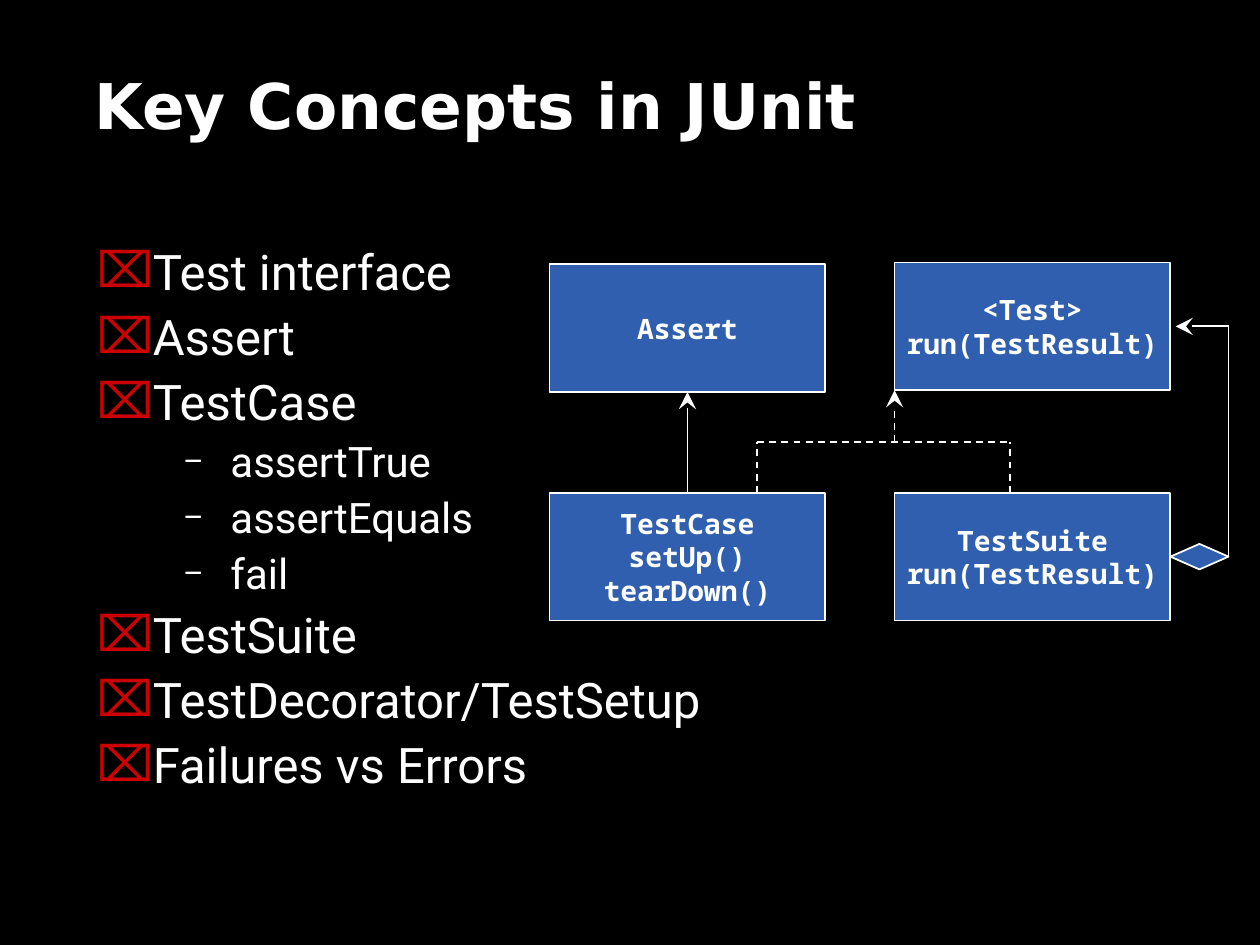
from typing import NamedTuple, Optional

from lxml import etree
from pptx import Presentation
from pptx.dml.color import RGBColor
from pptx.enum.dml import MSO_LINE
from pptx.enum.shapes import MSO_CONNECTOR, MSO_SHAPE
from pptx.enum.text import MSO_ANCHOR, MSO_AUTO_SIZE, PP_ALIGN
from pptx.oxml.ns import qn
from pptx.util import Pt

BLACK = RGBColor(0x00, 0x00, 0x00)
WHITE = RGBColor(0xFF, 0xFF, 0xFF)
RED = RGBColor(0xCC, 0x00, 0x00)
BLUE = RGBColor(0x31, 0x5F, 0xAF)

RECT = MSO_SHAPE.RECTANGLE
DIAMOND = MSO_SHAPE.FLOWCHART_DECISION
STRAIGHT = MSO_CONNECTOR.STRAIGHT
DASH = MSO_LINE.DASH
LEFT, CENTER = PP_ALIGN.LEFT, PP_ALIGN.CENTER
TOP, MIDDLE = MSO_ANCHOR.TOP, MSO_ANCHOR.MIDDLE
NO_FIT = MSO_AUTO_SIZE.NONE

TITLE_FONT = {"name": "DejaVu Sans", "size": Pt(36), "bold": True}
BOX_FONT = {"name": "Noto Sans Mono", "size": Pt(16), "bold": True}
INSETS = {"margin_left": Pt(7.2), "margin_right": Pt(7.2),
          "margin_top": Pt(3.6), "margin_bottom": Pt(3.6)}
NO_INSETS = dict.fromkeys(INSETS, 0)

BOX_W, BOX_H = 157.6, 73
COL_1, COL_2 = 314, 511.2
ROW_1, ROW_2 = 150, 281.6
JOIN_Y = 252.6


class Level(NamedTuple):
    size: float
    before: float
    indent: float
    bullet: str
    color: RGBColor
    percent: int


class Item(NamedTuple):
    text: str
    level: int = 0


class Box(NamedTuple):
    name: str
    x: float
    y: float
    text: str


class Link(NamedTuple):
    x1: float
    y1: float
    x2: float
    y2: float
    dashed: bool = False
    arrow: bool = False
    start: Optional[tuple[str, int]] = None
    end: Optional[tuple[str, int]] = None


LEVELS = [Level(28, 7, 27, "⌧", RED, 100),
          Level(24, 6, 76.5, "–", WHITE, 75)]
HANGING = 27

ITEMS = [Item("Test interface"), Item("Assert"), Item("TestCase"),
         Item("assertTrue", 1), Item("assertEquals", 1), Item("fail", 1),
         Item("TestSuite"), Item("TestDecorator/TestSetup"),
         Item("Failures vs Errors")]

BOXES = [Box("test", COL_2, ROW_1, "<Test>\nrun(TestResult)"),
         Box("case", COL_1, ROW_2, "TestCase\nsetUp()\ntearDown()"),
         Box("suite", COL_2, ROW_2, "TestSuite\nrun(TestResult)"),
         Box("assert", COL_1, ROW_1 + 1, "Assert")]

ASSERT_X = COL_1 + BOX_W / 2
CASE_X, SUITE_X = 432.6, 577.2
LOOP_X = 702
TEST_Y = ROW_1 + BOX_H / 2
SUITE_Y = ROW_2 + BOX_H / 2
DIAMOND_H = 14.6

LINKS = [Link(ASSERT_X, ROW_2, ASSERT_X, ROW_1 + 1 + BOX_H, arrow=True,
              start=("case", 0), end=("assert", 2)),
         Link(COL_2, JOIN_Y, COL_2, ROW_1 + BOX_H, dashed=True, arrow=True),
         Link(CASE_X, ROW_2, CASE_X, JOIN_Y, dashed=True),
         Link(SUITE_X, ROW_2, SUITE_X, JOIN_Y, dashed=True),
         Link(CASE_X, JOIN_Y, SUITE_X, JOIN_Y, dashed=True),
         Link(LOOP_X, SUITE_Y, LOOP_X, TEST_Y, start=("diamond", 3)),
         Link(LOOP_X, TEST_Y, 671.8, TEST_Y, arrow=True)]


def apply(obj, values: dict) -> None:
    for key, value in values.items():
        setattr(obj, key, value)


def place(sp, x: float, y: float, w: float, h: float) -> None:
    apply(sp, {"left": Pt(x), "top": Pt(y), "width": Pt(w), "height": Pt(h)})


def add_run(p, text: str, font: dict) -> None:
    r = p.add_run()
    r.text = text
    apply(r.font, font)
    r.font.color.rgb = WHITE


def add_bullet(p, level: Level) -> None:
    pPr = p._p.get_or_add_pPr()
    pPr.set("marL", str(Pt(level.indent)))
    pPr.set("indent", str(-Pt(HANGING)))
    clr = etree.SubElement(pPr, qn("a:buClr"))
    etree.SubElement(clr, qn("a:srgbClr"), val=str(level.color))
    etree.SubElement(pPr, qn("a:buSzPct"), val=str(level.percent * 1000))
    etree.SubElement(pPr, qn("a:buFont"), typeface="Roboto")
    etree.SubElement(pPr, qn("a:buChar"), char=level.bullet)


def fill_title(sp) -> None:
    place(sp, 54, 42, 588, 42)
    tf = sp.text_frame
    apply(tf, {"auto_size": NO_FIT, "vertical_anchor": MIDDLE,
               "word_wrap": True, **NO_INSETS})
    p = tf.paragraphs[0]
    apply(p, {"alignment": LEFT, "line_spacing": 0.85})
    add_run(p, "Key Concepts in JUnit", TITLE_FONT)


def fill_list(sp, items: list[Item]) -> None:
    place(sp, 48, 138, 618, 321)
    tf = sp.text_frame
    apply(tf, {"auto_size": NO_FIT, "vertical_anchor": TOP,
               "word_wrap": True, **INSETS})
    for i, item in enumerate(items):
        p = tf.add_paragraph() if i else tf.paragraphs[0]
        level = LEVELS[item.level]
        add_bullet(p, level)
        apply(p, {"level": item.level, "alignment": LEFT, "line_spacing": 0.9,
                  "space_before": Pt(level.before if i else 0)})
        add_run(p, item.text, {"name": "Roboto", "size": Pt(level.size)})


def add_shape(slide, kind, x: float, y: float, w: float, h: float):
    sp = slide.shapes.add_shape(kind, Pt(x), Pt(y), Pt(w), Pt(h))
    sp.shadow.inherit = False
    sp.fill.solid()
    sp.fill.fore_color.rgb = BLUE
    sp.line.color.rgb = WHITE
    sp.line.width = Pt(1)
    return sp


def add_box(slide, box: Box):
    sp = add_shape(slide, RECT, box.x, box.y, BOX_W, BOX_H)
    tf = sp.text_frame
    apply(tf, {"word_wrap": False, "vertical_anchor": MIDDLE, **INSETS})
    for i, text in enumerate(box.text.split("\n")):
        p = tf.add_paragraph() if i else tf.paragraphs[0]
        p.alignment = CENTER
        add_run(p, text, BOX_FONT)
    return sp


def add_link(slide, link: Link, shapes: dict) -> None:
    cxn = slide.shapes.add_connector(
        STRAIGHT, Pt(link.x1), Pt(link.y1), Pt(link.x2), Pt(link.y2))
    if link.start:
        cxn.begin_connect(shapes[link.start[0]], link.start[1])
    if link.end:
        cxn.end_connect(shapes[link.end[0]], link.end[1])
    cxn.line.color.rgb = WHITE
    cxn.line.width = Pt(1)
    if link.dashed:
        cxn.line.dash_style = DASH
    if link.arrow:
        etree.SubElement(cxn.line._get_or_add_ln(), qn("a:tailEnd"),
                         type="stealth", w="lg", len="lg")
    etree.SubElement(cxn._element.spPr, qn("a:effectLst"))


def main() -> None:
    prs = Presentation()
    prs.slide_width, prs.slide_height = Pt(720), Pt(540)
    slide = prs.slides.add_slide(prs.slide_layouts[1])
    slide.background.fill.solid()
    slide.background.fill.fore_color.rgb = BLACK
    fill_title(slide.shapes.title)
    fill_list(slide.placeholders[1], ITEMS)
    shapes = {box.name: add_box(slide, box) for box in BOXES}
    diamond_x = COL_2 + BOX_W
    shapes["diamond"] = add_shape(slide, DIAMOND, diamond_x, SUITE_Y - DIAMOND_H / 2,
                                  LOOP_X - diamond_x, DIAMOND_H)
    for link in LINKS:
        add_link(slide, link, shapes)
    prs.save("out.pptx")


if __name__ == "__main__":
    main()
